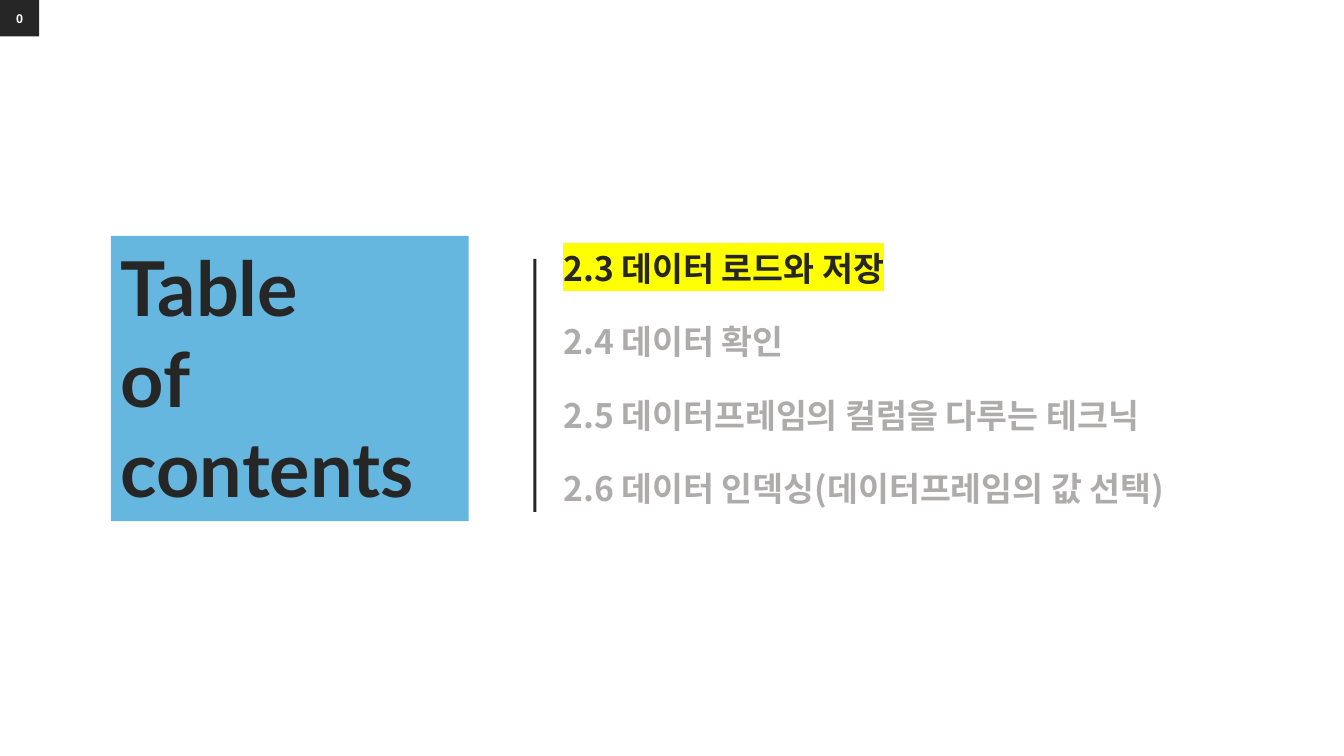
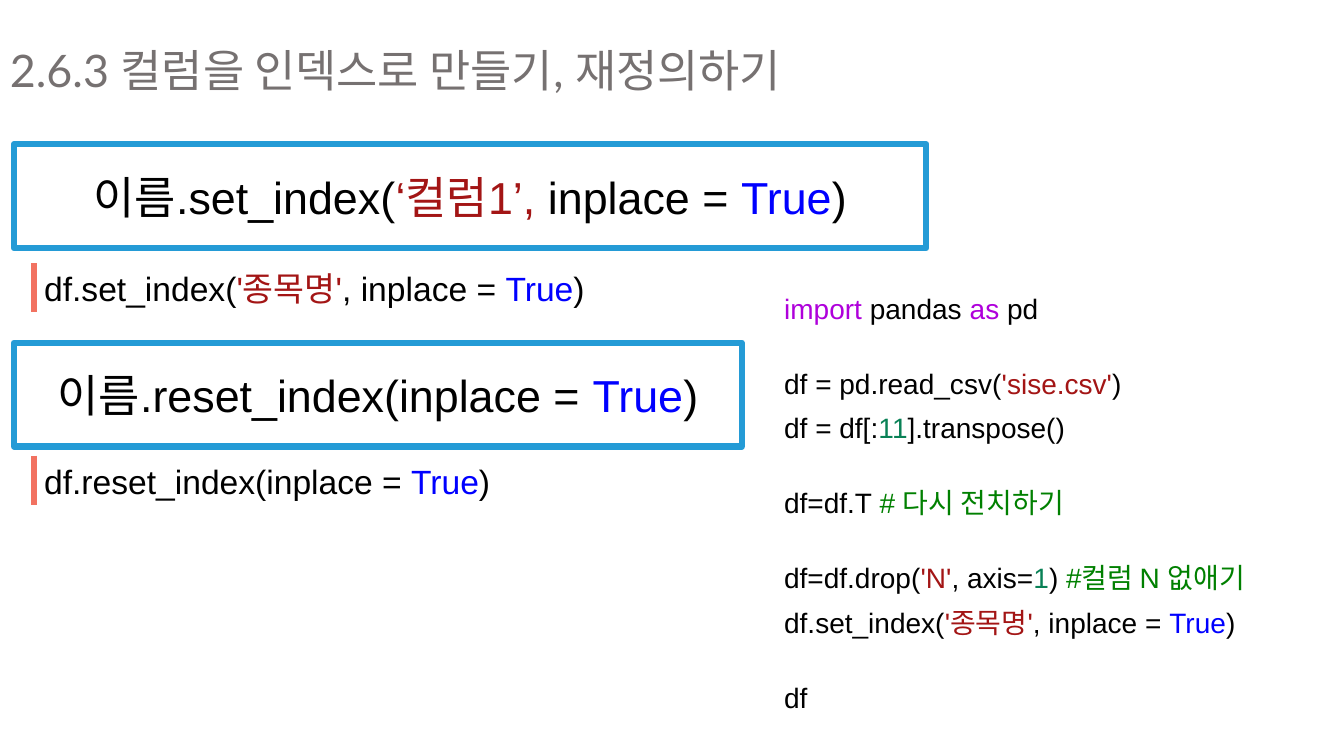
from lxml.etree import SubElement
from pptx import Presentation
from pptx.dml.color import RGBColor
from pptx.enum.shapes import MSO_CONNECTOR, MSO_SHAPE
from pptx.enum.text import MSO_ANCHOR, PP_ALIGN
from pptx.oxml import parse_xml
from pptx.oxml.ns import nsdecls, qn
from pptx.util import Pt

INK = RGBColor(0x26, 0x26, 0x26)
WHITE = RGBColor(0xFF, 0xFF, 0xFF)
BLACK = RGBColor(0x00, 0x00, 0x00)
SKY = RGBColor(0x65, 0xB7, 0xE0)
FRAME_BLUE = RGBColor(0x24, 0x9B, 0xD6)
CORAL = RGBColor(0xF2, 0x72, 0x61)
MUTED = RGBColor(0xAE, 0xAB, 0xAB)
TITLE_GRAY = RGBColor(0x76, 0x71, 0x71)
STRING = RGBColor(0xA3, 0x15, 0x15)
CONSTANT = RGBColor(0x00, 0x00, 0xFF)
KEYWORD = RGBColor(0xAF, 0x00, 0xDB)
NUMBER = RGBColor(0x09, 0x81, 0x56)
COMMENT = RGBColor(0x00, 0x80, 0x00)

LATIN, KOREAN, CODE = "Lato", "Noto Sans CJK KR", "Arial"


def add_box(page, left, top, width, height, fill=None, line=None):
    box = page.shapes.add_shape(MSO_SHAPE.RECTANGLE, Pt(left), Pt(top), Pt(width), Pt(height))
    box.shadow.inherit = False
    box.fill.background()
    box.line.fill.background()
    if fill is not None:
        box.fill.solid()
        box.fill.fore_color.rgb = fill
    if line is not None:
        box.line.color.rgb = line
        box.line.width = Pt(4.5)
    box.text_frame.word_wrap = True
    box.text_frame.vertical_anchor = MSO_ANCHOR.TOP
    box.text_frame.paragraphs[0].alignment = PP_ALIGN.LEFT
    return box


def add_spans(para, spans, size, font=CODE, bold=False):
    for text, color in spans:
        span = para.add_run()
        span.text = text
        span.font.size = Pt(size)
        span.font.bold = bold
        span.font.color.rgb = color
        span.font.name = font
        east_asian = SubElement(span.font._element, qn("a:ea"))
        east_asian.set("typeface", KOREAN)


deck = Presentation()
deck.slide_width, deck.slide_height = Pt(960), Pt(540)
blank = deck.slide_layouts[6]

page = deck.slides.add_slide(blank)
heading = add_box(page, 79.2, 168.5, 255.6, 203.8, fill=SKY).text_frame
add_spans(heading.paragraphs[0], [("Table", INK)], 54, LATIN, True)
add_spans(heading.add_paragraph(), [("of contents", INK)], 54, LATIN, True)

sections = [
    "2.3 데이터 로드와 저장",
    "2.4 데이터 확인",
    "2.5 데이터프레임의 컬럼을 다루는 테크닉",
    "2.6 데이터 인덱싱(데이터프레임의 값 선택)",
]
current = 0
for index, section in enumerate(sections):
    box = page.shapes.add_textbox(Pt(395.3), Pt(173.5 + 52.4 * index), Pt(524), Pt(36))
    box.text_frame.word_wrap = True
    para = box.text_frame.paragraphs[0]
    add_spans(para, [(section, INK if index == current else MUTED)], 24, KOREAN, True)
    if index == current:
        highlight = parse_xml(f'<a:highlight {nsdecls("a")}><a:srgbClr val="FFFF00"/></a:highlight>')
        para.runs[0].font._element.find(qn("a:solidFill")).addnext(highlight)

add_box(page, 381, 185, 2.2, 180.7, fill=INK)
badge = add_box(page, 0, 0, 28, 26, fill=INK).text_frame
badge.vertical_anchor = MSO_ANCHOR.MIDDLE
badge.paragraphs[0].alignment = PP_ALIGN.CENTER
add_spans(badge.paragraphs[0], [("0", WHITE)], 9, CODE, True)

page = deck.slides.add_slide(blank)
title = page.shapes.add_textbox(0, 0, Pt(828), Pt(104.4)).text_frame
title.word_wrap = True
title.vertical_anchor = MSO_ANCHOR.MIDDLE
title.paragraphs[0].line_spacing = 0.9
add_spans(title.paragraphs[0], [("2.6.3 컬럼을 인덱스로 만들기, 재정의하기", TITLE_GRAY)], 32, LATIN)

true_end = [("True", CONSTANT), (")", BLACK)]
set_index_call = [("df.set_index(", BLACK), ("'종목명'", STRING), (", inplace = ", BLACK)] + true_end

syntax_frames = [
    (103, 651.6, [("이름.set_index(", BLACK), ("‘컬럼1’, ", STRING), ("inplace = ", BLACK)] + true_end),
    (244.8, 519.8, [("이름.reset_index(inplace = ", BLACK)] + true_end),
]
for top, width, spans in syntax_frames:
    frame = add_box(page, 10, top, width, 74.2, line=FRAME_BLUE).text_frame
    frame.vertical_anchor = MSO_ANCHOR.MIDDLE
    frame.paragraphs[0].alignment = PP_ALIGN.CENTER
    add_spans(frame.paragraphs[0], spans, 32)

examples = [
    (188, set_index_call),
    (325.4, [("df.reset_index(inplace = ", BLACK)] + true_end),
]
for top, spans in examples:
    box = page.shapes.add_textbox(Pt(24.5), Pt(top), Pt(510), Pt(36))
    box.text_frame.word_wrap = True
    add_spans(box.text_frame.paragraphs[0], spans, 24)
    bar = page.shapes.add_connector(MSO_CONNECTOR.STRAIGHT, Pt(24.5), Pt(top), Pt(24.5), Pt(top + 35))
    bar.line.color.rgb = CORAL
    bar.line.width = Pt(4.5)
    SubElement(bar._element.spPr, qn("a:effectLst"))

LINE_GAP, BLOCK_GAP = 10, 32
code_lines = [
    (0, [("import", KEYWORD), (" pandas ", BLACK), ("as", KEYWORD), (" pd", BLACK)]),
    (BLOCK_GAP, [("df = pd.read_csv(", BLACK), ("'sise.csv'", STRING), (")", BLACK)]),
    (LINE_GAP, [("df = df[:", BLACK), ("11", NUMBER), ("].transpose()", BLACK)]),
    (BLOCK_GAP, [("df=df.T ", BLACK), ("# 다시 전치하기", COMMENT)]),
    (BLOCK_GAP, [("df=df.drop(", BLACK), ("'N'", STRING), (", axis=", BLACK), ("1", NUMBER),
                 (") ", BLACK), ("#컬럼 N 없애기", COMMENT)]),
    (LINE_GAP, set_index_call),
    (BLOCK_GAP, [("df", BLACK)]),
]
listing = page.shapes.add_textbox(Pt(553), Pt(207.4), Pt(400), Pt(320)).text_frame
listing.word_wrap = True
for index, (gap, spans) in enumerate(code_lines):
    para = listing.add_paragraph() if index else listing.paragraphs[0]
    para.line_spacing = 0.9
    para.space_before = Pt(gap)
    add_spans(para, spans, 20)

deck.save("out.pptx")
